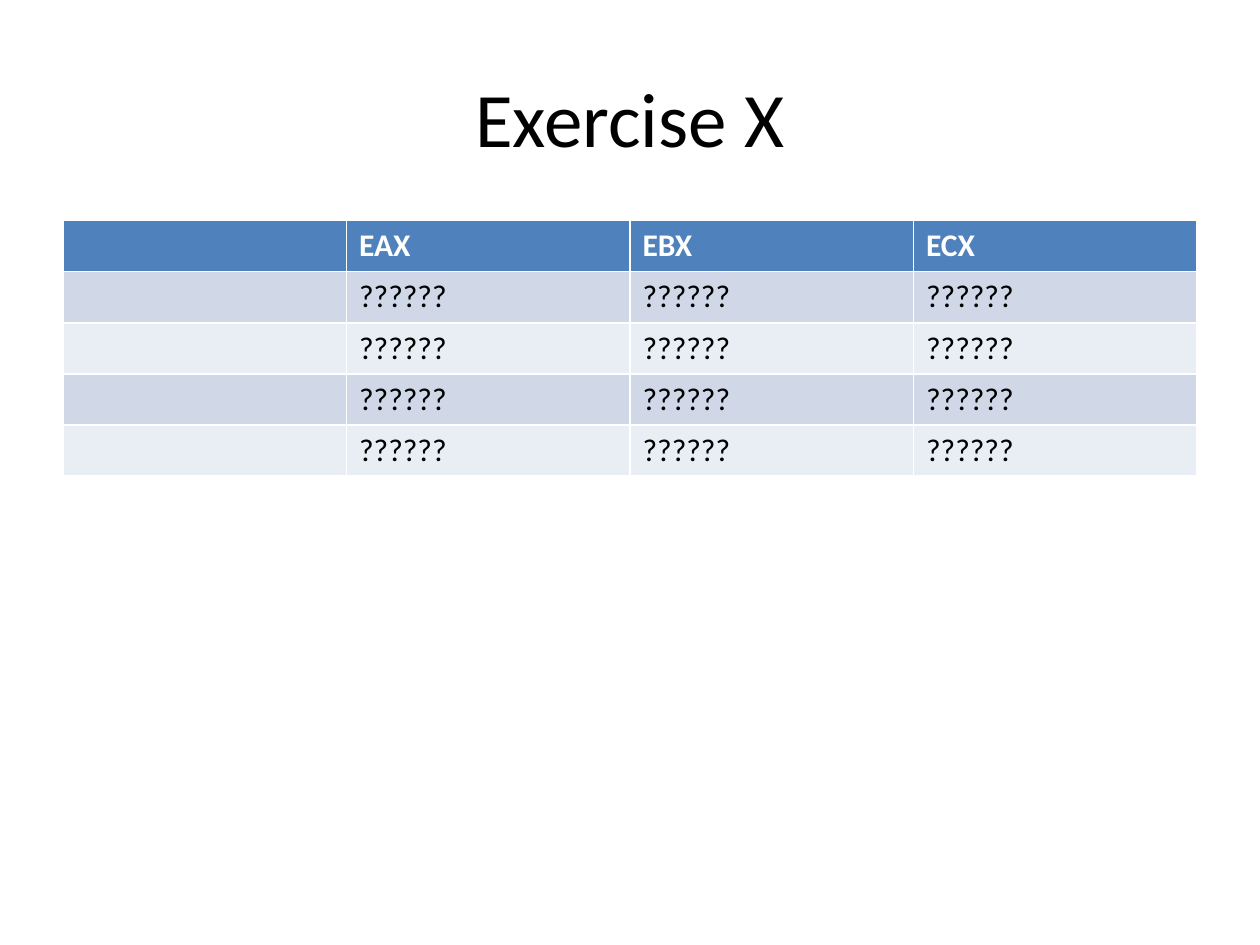
from pptx import Presentation
from pptx.dml.color import RGBColor
from pptx.enum.text import MSO_ANCHOR, PP_ALIGN
from pptx.util import Inches, Pt

# Content
TITLE = "Exercise X"
HEADER = ["", "EAX", "EBX", "ECX"]
UNKNOWN = ["", "??????", "??????", "??????"]
ROWS = [HEADER] + [UNKNOWN] * 4

# Style
FONT = "Calibri"
BLACK = RGBColor(0x00, 0x00, 0x00)
WHITE = RGBColor(0xFF, 0xFF, 0xFF)
HEADER_BLUE = RGBColor(0x4F, 0x81, 0xBD)
BANDS = [RGBColor(0xE9, 0xED, 0xF4), RGBColor(0xD0, 0xD8, 0xE8)]

# Layout in inches
LEFT, WIDTH = 0.5, 9
TABLE_TOP, TABLE_HEIGHT = 1.75, 2.03


def style_text(paragraph, size, color, bold=False):
    for run in paragraph.runs:
        run.font.name = FONT
        run.font.size = Pt(size)
        run.font.bold = bold
        run.font.color.rgb = color


prs = Presentation()
prs.slide_width, prs.slide_height = Inches(10), Inches(7.5)
slide = prs.slides.add_slide(prs.slide_layouts[6])

# Title
title = slide.shapes.add_textbox(
    Inches(LEFT), Inches(0.3), Inches(WIDTH), Inches(1.25)).text_frame
title.word_wrap = True
title.vertical_anchor = MSO_ANCHOR.MIDDLE
title.text = TITLE
title.paragraphs[0].alignment = PP_ALIGN.CENTER
style_text(title.paragraphs[0], 44, BLACK)

# Register table; its default style draws the white borders
registers = slide.shapes.add_table(
    len(ROWS), len(HEADER), Inches(LEFT), Inches(TABLE_TOP),
    Inches(WIDTH), Inches(TABLE_HEIGHT)).table
for r, values in enumerate(ROWS):
    is_header = r == 0
    for c, value in enumerate(values):
        cell = registers.cell(r, c)
        cell.fill.solid()
        cell.fill.fore_color.rgb = HEADER_BLUE if is_header else BANDS[r % 2]
        if value:
            cell.text_frame.text = value
            style_text(cell.text_frame.paragraphs[0], 18,
                       WHITE if is_header else BLACK, bold=is_header)

prs.save("out.pptx")
